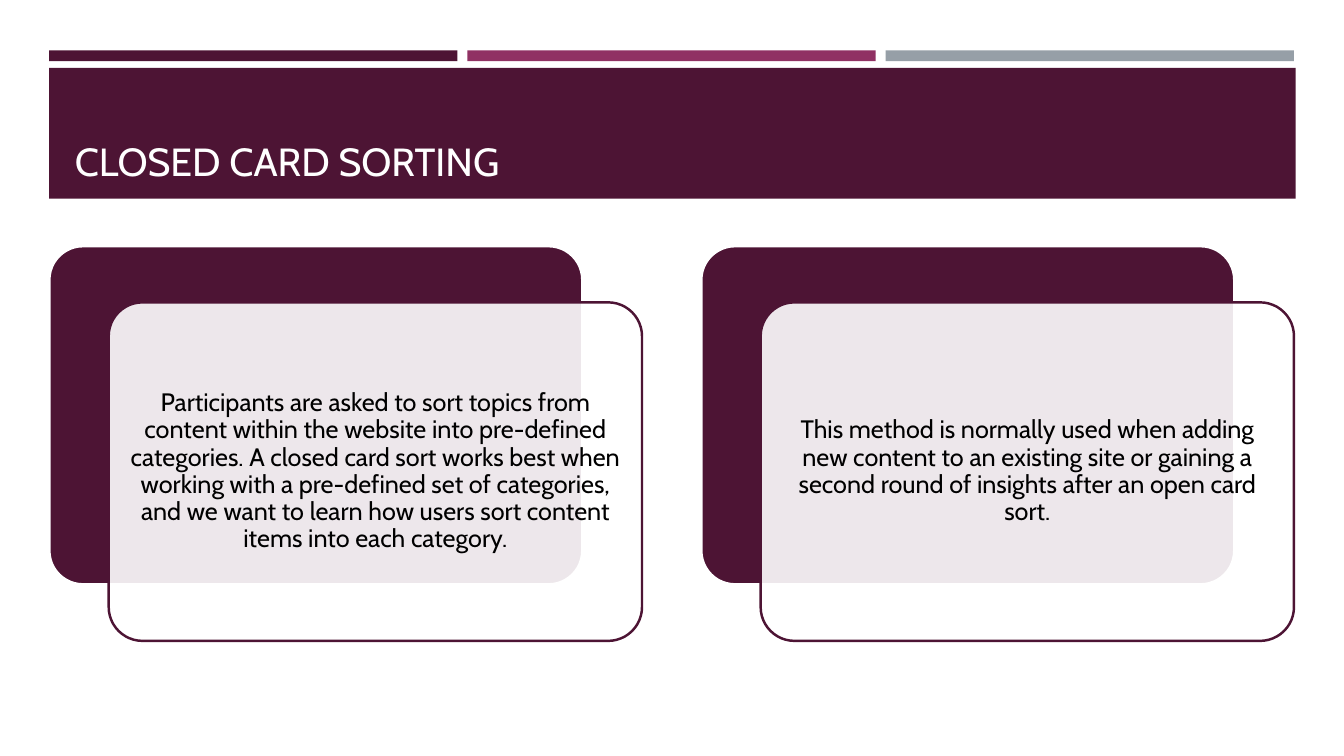
from lxml import etree
from pptx import Presentation
from pptx.dml.color import RGBColor
from pptx.enum import shapes, text
from pptx.oxml.ns import qn
from pptx.util import Cm, Pt

# Content
TITLE = "CLOSED CARD SORTING"
CARDS = [
    "Participants are asked to sort topics from content within the website into "
    "pre-defined categories. A closed card sort works best when working with a "
    "pre-defined set of categories, and we want to learn how users sort content "
    "items into each category.",
    "This method is normally used when adding new content to an existing site or "
    "gaining a second round of insights after an open card sort.",
]
COLORS = {"plum": "4D1434", "berry": "903163", "grey": "969FA7",
          "white": "FFFFFF", "black": "000000"}
BARS = ["plum", "berry", "grey"]
FONT = "Cabin"

# Layout in centimetres
LEFT = 1.24
BAR_TOP, BAR_W, BAR_H, BAR_STEP = 1.27, 10.29, 0.27, 10.54
CARD_TOP, CARD_W, CARD_H, CARD_STEP = 6.2, 13.44, 8.53, 16.43
FRONT_DX, FRONT_DY = 1.5, 1.42
TEXT_PAD = 0.25


def color(name):
    return RGBColor.from_string(COLORS[name])


def add_box(kind, x, y, w, h, fill, line=None, width=0):
    sp = s.shapes.add_shape(kind, Cm(x), Cm(y), Cm(w), Cm(h))
    sp.shadow.inherit = False
    sp.fill.solid()
    sp.fill.fore_color.rgb = color(fill)
    if line:
        sp.line.color.rgb = color(line)
        sp.line.width = Pt(width)
    else:
        sp.line.fill.background()
    return sp


def add_card(x, y, w, h, fill, line, width):
    sp = add_box(shapes.MSO_SHAPE.ROUNDED_RECTANGLE, x, y, w, h, fill, line, width)
    sp.adjustments[0] = 0.1
    return sp


def write(p, words, size, name):
    r = p.add_run()
    r.text = words
    r.font.size = Pt(size)
    r.font.name = FONT
    r.font.color.rgb = color(name)


prs = Presentation()
prs.slide_width, prs.slide_height = Cm(33.87), Cm(19.05)
s = prs.slides.add_slide(prs.slide_layouts[5])

# Top bars and title band
for i, name in enumerate(BARS):
    add_box(shapes.MSO_SHAPE.RECTANGLE, LEFT + i * BAR_STEP, BAR_TOP, BAR_W, BAR_H, name)
add_box(shapes.MSO_SHAPE.RECTANGLE, LEFT, 1.71, 31.41, 3.3, "plum")

# Title, raised above its band
title = s.shapes.title
s.shapes.element.append(title.element)
title.left, title.top, title.width, title.height = Cm(1.63), Cm(1.96), Cm(30.63), Cm(2.82)
tf = title.text_frame
tf.auto_size = text.MSO_AUTO_SIZE.NONE
tf.vertical_anchor = text.MSO_ANCHOR.BOTTOM
p = tf.paragraphs[0]
p.alignment = text.PP_ALIGN.LEFT
write(p, TITLE, 28, "white")

# Cards: plum back, translucent front, centred text
for i, words in enumerate(CARDS):
    x = LEFT + i * CARD_STEP
    add_card(x, CARD_TOP, CARD_W, CARD_H, "plum", "white", 2)

    x, y = x + FRONT_DX, CARD_TOP + FRONT_DY
    front = add_card(x, y, CARD_W, CARD_H, "white", "plum", 1.75)
    fill = front.element.spPr.find(qn("a:solidFill"))
    etree.SubElement(fill[0], qn("a:alpha"), val="90000")

    box = s.shapes.add_textbox(Cm(x + TEXT_PAD), Cm(y + TEXT_PAD),
                               Cm(CARD_W - 2 * TEXT_PAD), Cm(CARD_H - 2 * TEXT_PAD))
    tf = box.text_frame
    tf.word_wrap = True
    tf.vertical_anchor = text.MSO_ANCHOR.MIDDLE
    tf.margin_left = tf.margin_right = tf.margin_top = tf.margin_bottom = Cm(0.18)
    p = tf.paragraphs[0]
    p.alignment = text.PP_ALIGN.CENTER
    p.line_spacing = 0.9
    write(p, words, 18, "black")

prs.save("out.pptx")
